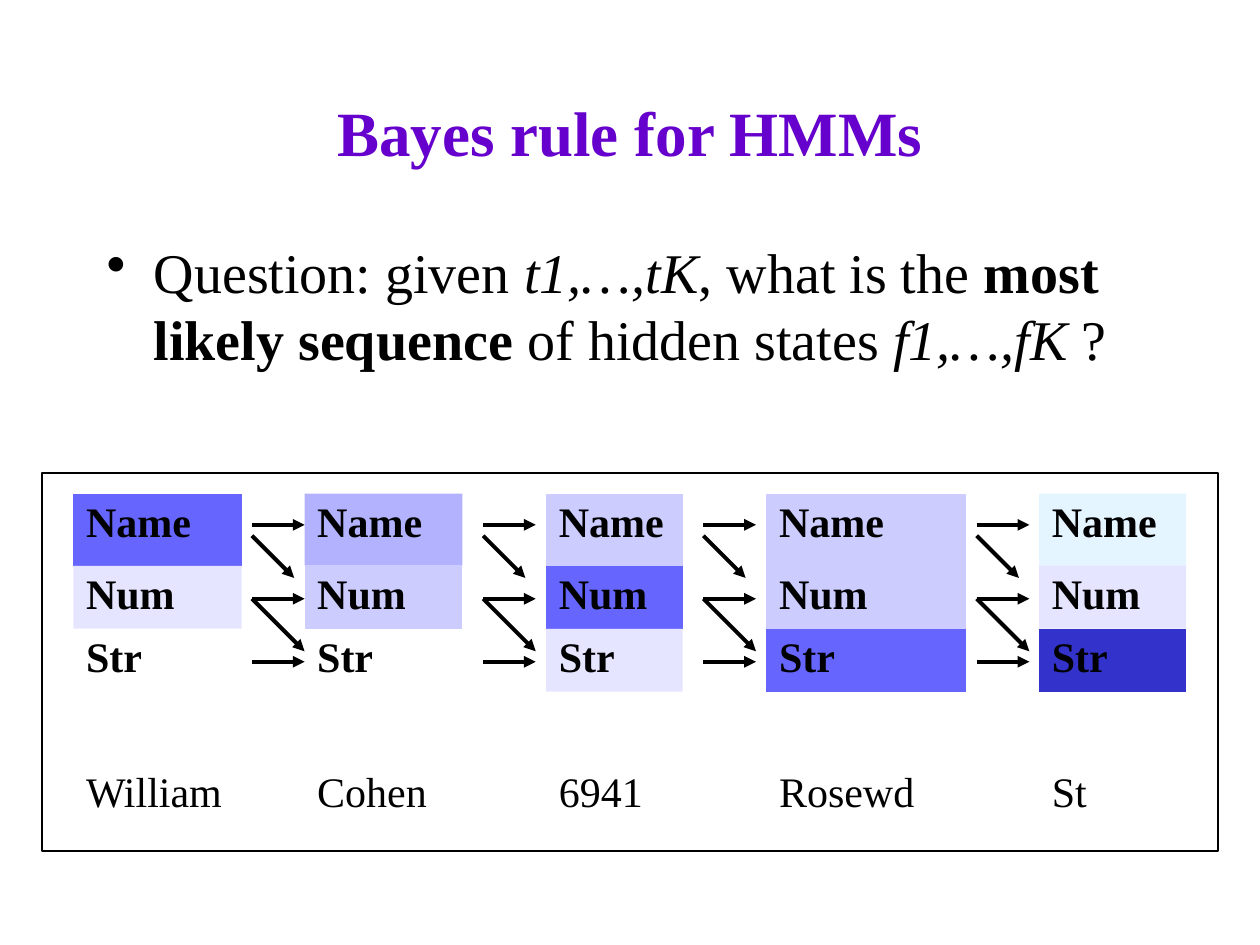
from lxml import etree
from pptx import Presentation
from pptx.dml.color import RGBColor
from pptx.enum.shapes import MSO_CONNECTOR, MSO_SHAPE
from pptx.enum.text import MSO_ANCHOR, PP_ALIGN
from pptx.oxml.ns import qn
from pptx.util import Cm, Pt

STRAIGHT = MSO_CONNECTOR.STRAIGHT
RECTANGLE = MSO_SHAPE.RECTANGLE
MIDDLE = MSO_ANCHOR.MIDDLE
CENTER = PP_ALIGN.CENTER
FONT = "Times New Roman"
BLACK = "000000"
NO_STYLE_NO_GRID = "{2D5ABB26-0587-4C30-8999-92F81FD0307C}"

COLUMN_WIDTHS = [3.39, 1.27, 3.18, 1.69, 2.75, 1.69, 4.02, 1.48, 2.96]
ROW_HEIGHTS = [1.45, 1.27, 1.27, 1.45, 1.45]
STATES = ["Name", "Num", "Str"]
TOKENS = ["William", "Cohen", "6941", "Rosewd", "St"]
STATE_FILLS = [
    [("6666FF", 100), ("CCCCFF", 50), None],
    [("6666FF", 50), ("CCCCFF", 100), None],
    [("CCCCFF", 100), ("6666FF", 100), ("CCCCFF", 50)],
    [("CCCCFF", 100), ("CCCCFF", 100), ("6666FF", 100)],
    [("CCECFF", 50), ("CCCCFF", 50), ("3333CC", 100)],
]
TRANSITION_LEFTS = [5.08, 9.74, 14.18, 19.69]
TRANSITIONS = [
    (10.58, 1.06, 0),
    (12.07, 1.06, 0),
    (13.34, 1.06, 0),
    (10.8, 0.85, 0.85),
    (12.07, 1.06, 1.06),
]


def rgb(value):
    """Return the colour for a hex string."""
    return RGBColor.from_string(value)


def add_run(p, text, size, color=BLACK, bold=False, italic=False):
    """Append one formatted run to a paragraph."""
    r = p.add_run()
    r.text = text
    r.font.name = FONT
    r.font.size = Pt(size)
    r.font.bold = bold
    r.font.italic = italic
    r.font.color.rgb = rgb(color)


def add_text_box(s, left, top, width, height):
    """Add a wrapping text box and return its text frame."""
    tf = s.shapes.add_textbox(Cm(left), Cm(top), Cm(width), Cm(height)).text_frame
    tf.word_wrap = True
    return tf


def add_title(s, text):
    """Add the centred slide title."""
    tf = add_text_box(s, 1.9, 1.06, 21.6, 3.18)
    tf.vertical_anchor = MIDDLE
    p = tf.paragraphs[0]
    p.alignment = CENTER
    add_run(p, text, 36, "6600CC", bold=True)


def add_question(s, runs):
    """Add the bulleted question from (text, style) pairs."""
    p = add_text_box(s, 1.9, 4.66, 21.6, 12.28).paragraphs[0]
    p.space_before = Pt(8)
    pPr = p._p.get_or_add_pPr()
    pPr.set("marL", str(Cm(0.95)))
    pPr.set("indent", str(Cm(-0.95)))
    etree.SubElement(pPr, qn("a:buChar"), char="•")
    for text, style in runs:
        add_run(p, text, 32, **style)


def fill_cell(cell, color, opacity):
    """Fill a cell with a colour at an opacity in percent."""
    cell.fill.solid()
    cell.fill.fore_color.rgb = rgb(color)
    if opacity < 100:
        clr = cell._tc.tcPr.find(qn("a:solidFill"))[0]
        etree.SubElement(clr, qn("a:alpha"), val=str(opacity * 1000))


def write_cell(cell, text, bold):
    """Write one formatted text into a cell."""
    p = cell.text_frame.paragraphs[0]
    p.space_before = Pt(6)
    add_run(p, text, 24, bold=bold)


def add_trellis(s):
    """Add the table of hidden states above their tokens."""
    frame = s.shapes.add_table(
        len(ROW_HEIGHTS), len(COLUMN_WIDTHS), Cm(1.48), Cm(9.95),
        Cm(sum(COLUMN_WIDTHS)), Cm(sum(ROW_HEIGHTS)))
    table = frame.table
    table.first_row = table.horz_banding = False
    table._tbl.tblPr[0].text = NO_STYLE_NO_GRID
    for column, width in zip(table.columns, COLUMN_WIDTHS):
        column.width = Cm(width)
    for row, height in zip(table.rows, ROW_HEIGHTS):
        row.height = Cm(height)
    for cell in table.iter_cells():
        cell.fill.background()
    for i, (token, fills) in enumerate(zip(TOKENS, STATE_FILLS)):
        for j, (state, fill) in enumerate(zip(STATES, fills)):
            cell = table.cell(j, 2 * i)
            write_cell(cell, state, True)
            if fill:
                fill_cell(cell, *fill)
        write_cell(table.cell(len(ROW_HEIGHTS) - 1, 2 * i), token, False)


def add_arrow(s, x, y, dx, dy):
    """Add an arrow from a point by an offset."""
    c = s.shapes.add_connector(STRAIGHT, Cm(x), Cm(y), Cm(x + dx), Cm(y + dy))
    c.line.color.rgb = rgb(BLACK)
    c.line.width = Pt(2.25)
    etree.SubElement(c.line._get_or_add_ln(), qn("a:tailEnd"), type="triangle")
    etree.SubElement(c._element.spPr, qn("a:effectLst"))


def add_frame(s):
    """Add the outline around the trellis."""
    sp = s.shapes.add_shape(RECTANGLE, Cm(0.85), Cm(9.53), Cm(23.7), Cm(7.62))
    sp.shadow.inherit = False
    sp.fill.background()
    sp.line.color.rgb = rgb(BLACK)
    sp.line.width = Pt(1)


def main():
    """Build and save the slide."""
    prs = Presentation()
    prs.slide_width, prs.slide_height = Cm(25.4), Cm(19.05)
    s = prs.slides.add_slide(prs.slide_layouts[6])
    add_title(s, "Bayes rule for HMMs")
    add_question(s, [
        ("Question: given ", {}),
        ("t1,…,tK", {"italic": True}),
        (", what is the ", {}),
        ("most likely sequence", {"bold": True}),
        (" of hidden states ", {}),
        ("f1,…,fK", {"italic": True}),
        (" ?", {}),
    ])
    add_trellis(s)
    for left in TRANSITION_LEFTS:
        for top, dx, dy in TRANSITIONS:
            add_arrow(s, left, top, dx, dy)
    add_frame(s)
    prs.save("out.pptx")


if __name__ == "__main__":
    main()
